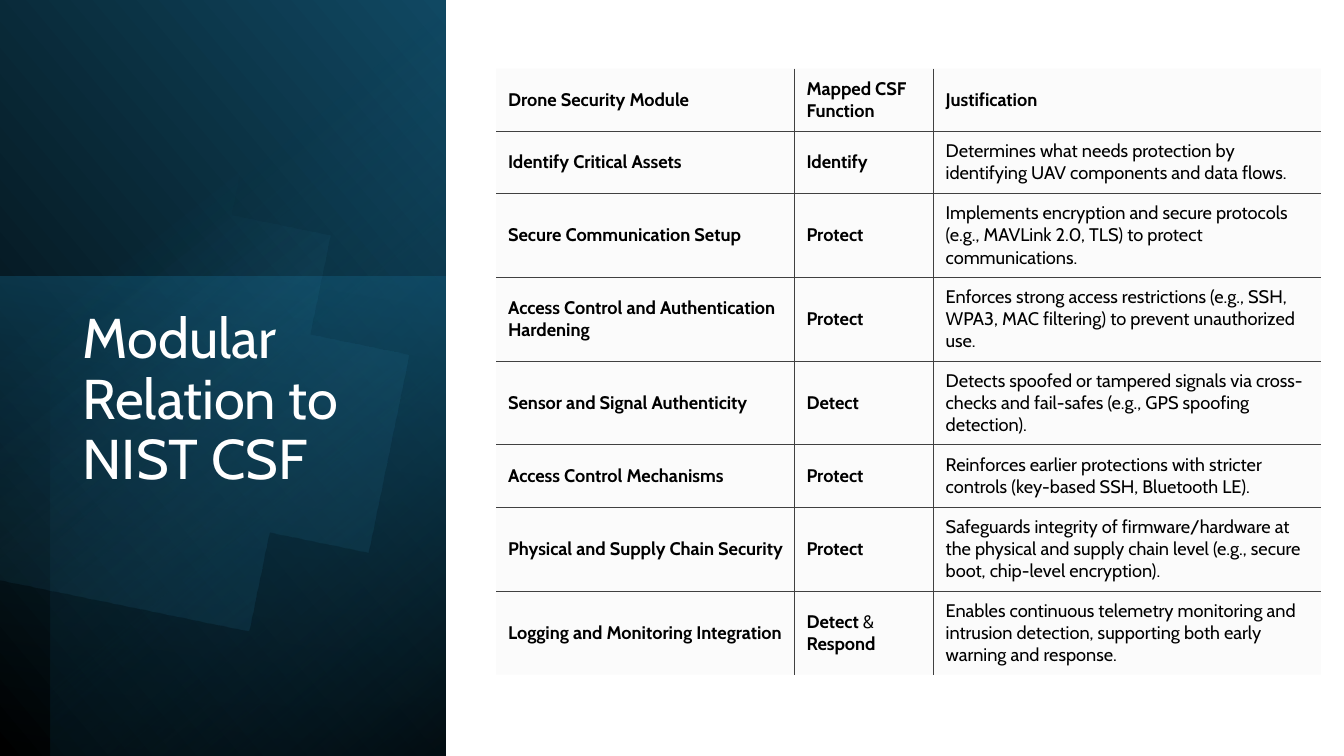
from dataclasses import dataclass
from math import cos, radians, sin

from lxml import etree
from pptx import Presentation, util as u
from pptx.dml.color import RGBColor
from pptx.enum import shapes, text
from pptx.oxml.ns import qn


@dataclass(frozen=True)
class Theme:
    font: str = "Cabin"
    title: int = 40
    body: int = 13
    white: str = "FFFFFF"
    black: str = "000000"
    navy: str = "104862"
    teal: str = "156082"
    deep: str = "0B3041"
    sky: str = "46B1E1"
    cell: str = "F2F2F2"
    rule: str = "404040"


T = Theme()
WIDE, HIGH = 13.33, 7.5
COLS = (2.96, 1.38, 3.84)
LOW, TALL = 0.62, 0.83
HEAD = ("Drone Security Module", "Mapped CSF Function", "Justification")
ROWS = (
    ("Identify Critical Assets", "Identify", LOW,
     "Determines what needs protection by identifying UAV components and data flows."),
    ("Secure Communication Setup", "Protect", TALL,
     "Implements encryption and secure protocols (e.g., MAVLink 2.0, TLS) to protect communications."),
    ("Access Control and Authentication Hardening", "Protect", TALL,
     "Enforces strong access restrictions (e.g., SSH, WPA3, MAC filtering) to prevent unauthorized use."),
    ("Sensor and Signal Authenticity", "Detect", TALL,
     "Detects spoofed or tampered signals via cross-checks and fail-safes (e.g., GPS spoofing detection)."),
    ("Access Control Mechanisms", "Protect", LOW,
     "Reinforces earlier protections with stricter controls (key-based SSH, Bluetooth LE)."),
    ("Physical and Supply Chain Security", "Protect", TALL,
     "Safeguards integrity of firmware/hardware at the physical and supply chain level "
     "(e.g., secure boot, chip-level encryption)."),
    ("Logging and Monitoring Integration", "Detect & Respond", TALL,
     "Enables continuous telemetry monitoring and intrusion detection, "
     "supporting both early warning and response."),
)


def assign(obj, **values):
    for name, value in values.items():
        setattr(obj, name, value)


def node(parent, tag, **attrs):
    return etree.SubElement(parent, qn(tag), {k: str(v) for k, v in attrs.items()})


def tint(parent, color, share=100):
    clr = node(parent, "a:srgbClr", val=color)
    if share < 100:
        node(clr, "a:alpha", val=share * 1000)


def shade(shape, stops, angle, turn, flip=False):
    shape.shadow.inherit = False
    shape.line.fill.background()
    shape.rotation = turn
    shape.fill.gradient()
    grad = shape._element.spPr.find(qn("a:gradFill"))
    for child in list(grad):
        grad.remove(child)
    grad.set("rotWithShape", "1")
    marks = node(grad, "a:gsLst")
    for place, color, share in stops:
        tint(node(marks, "a:gs", pos=place * 1000), color, share)
    node(grad, "a:lin", ang=angle * 60000, scaled=0)
    if flip:
        shape._element.spPr.find(qn("a:xfrm")).set("flipH", "1")


def write(para, words, size, color, bold=False):
    run = para.add_run()
    run.text = words
    assign(run.font, name=T.font, size=u.Pt(size), bold=bold)
    run.font.color.rgb = RGBColor.from_string(color)


def panel(slide):
    layers = (
        ((-1.55, 1.55, 7.52, 4.42), 90, True, 310,
         ((0, T.black, 100), (100, T.navy, 100))),
        ((-0.17, 2.91, 4.76, 4.42), 270, False, 190,
         ((0, T.teal, 50), (100, T.deep, 0))),
        ((-1.29, 1.79, 7.5, 3.92), 270, True, 220,
         ((0, T.black, 59), (69, T.teal, 0))),
    )
    for box, turn, flip, angle, stops in layers:
        rect = slide.shapes.add_shape(
            shapes.MSO_SHAPE.RECTANGLE, *map(u.Inches, box))
        shade(rect, stops, angle, turn, flip)
    disc(slide, 1.81, 3.93, 2.63)


def disc(slide, x, y, radius):
    first, last, steps = -224.5, 21.3, 120
    turns = [radians(first + (last - first) * i / steps) for i in range(steps + 1)]
    dots = [(x + radius * cos(a), y + radius * sin(a)) for a in turns]
    pen = slide.shapes.build_freeform(*dots[0], scale=u.Inches(1))
    pen.add_line_segments(dots[1:], close=True)
    shade(pen.convert_to_shape(), ((39, T.sky, 0), (100, T.navy, 26)), 310, 101.6)


def title(slide, box):
    frame = slide.shapes.add_textbox(*map(u.Inches, box)).text_frame
    assign(frame, word_wrap=True, vertical_anchor=text.MSO_ANCHOR.TOP)
    para = frame.paragraphs[0]
    assign(para, line_spacing=0.9, space_after=u.Pt(6))
    write(para, "Modular Relation to NIST CSF", T.title, T.white)


def dress(cell, edges):
    assign(cell, vertical_anchor=text.MSO_ANCHOR.MIDDLE,
           margin_left=u.Inches(0.12), margin_right=u.Inches(0.05),
           margin_top=u.Inches(0.09), margin_bottom=u.Inches(0.09))
    props = cell._tc.get_or_add_tcPr()
    for side, shown in edges.items():
        line = node(props, "a:ln" + side, w=u.Pt(0.5))
        fill = node(line, "a:solidFill" if shown else "a:noFill")
        if shown:
            tint(fill, T.rule)
    tint(node(props, "a:solidFill"), T.cell, 30)


def matrix(slide, left, top):
    highs = [LOW] + [row[2] for row in ROWS]
    lines = [HEAD] + [(name, role, why) for name, role, _, why in ROWS]
    grid = slide.shapes.add_table(
        len(lines), len(COLS), *map(u.Inches, (left, top, sum(COLS), sum(highs)))).table
    assign(grid, first_row=False, horz_banding=False)
    for col, wide in zip(grid.columns, COLS):
        col.width = u.Inches(wide)
    for r, (words, high) in enumerate(zip(lines, highs)):
        grid.rows[r].height = u.Inches(high)
        for c, phrase in enumerate(words):
            cell = grid.cell(r, c)
            dress(cell, {"L": c > 0, "R": c < len(COLS) - 1,
                         "T": r > 0, "B": r < len(lines) - 1})
            bold = r == 0 or c < 2
            for part in phrase.partition(" & "):
                if part:
                    write(cell.text_frame.paragraphs[0], part, T.body, T.black,
                          bold and part != " & ")


def main():
    deck = Presentation()
    assign(deck, slide_width=u.Inches(WIDE), slide_height=u.Inches(HIGH))
    slide = deck.slides.add_slide(deck.slide_layouts[6])
    panel(slide)
    title(slide, (0.72, 3.03, 3.15, 3.36))
    matrix(slide, 4.92, 0.68)
    deck.save("out.pptx")


if __name__ == "__main__":
    main()
